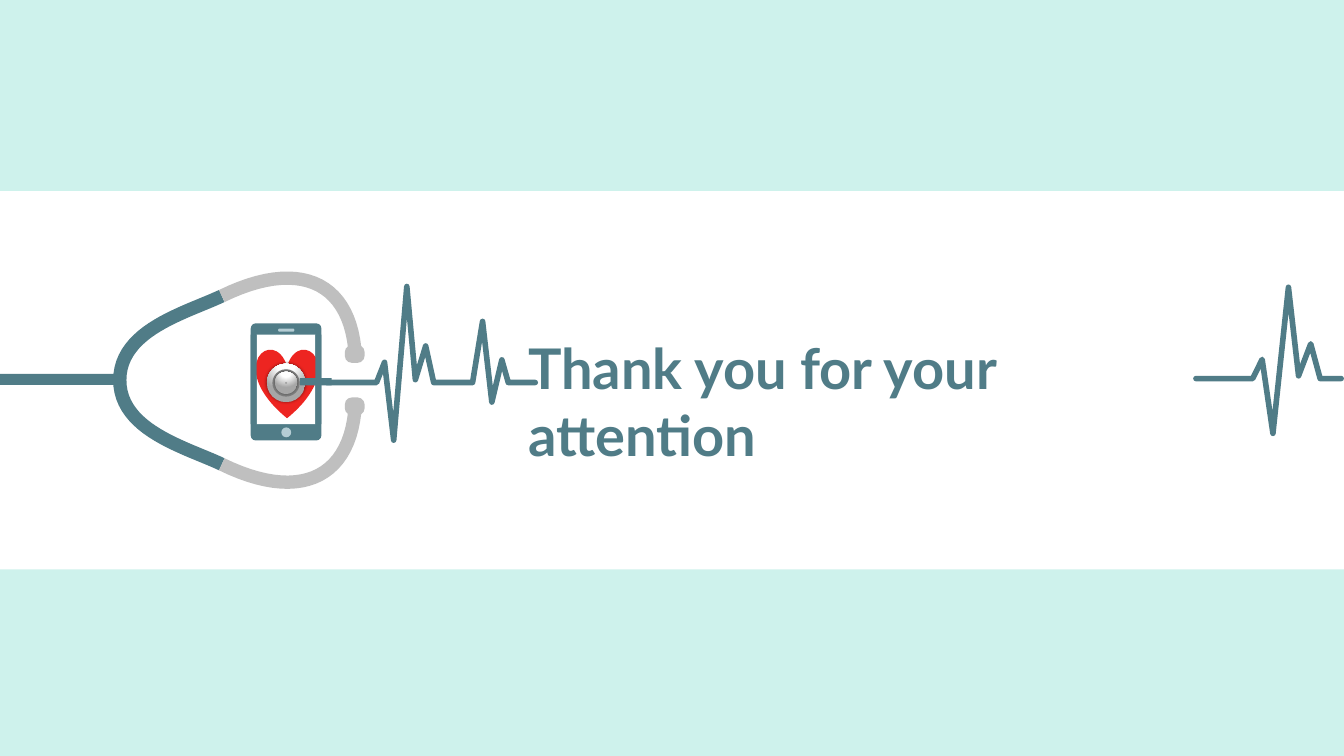
"""Build a closing slide with a stethoscope, a phone and a heartbeat line."""
from lxml.etree import SubElement
from pptx import Presentation
from pptx.dml.color import RGBColor
from pptx.enum.shapes import MSO_SHAPE
from pptx.enum.text import MSO_AUTO_SIZE
from pptx.oxml import parse_xml
from pptx.oxml.ns import nsdecls, qn
from pptx.util import Cm, Pt

TEAL = RGBColor(0x50, 0x7C, 0x87)
MINT = RGBColor(0xCE, 0xF2, 0xEC)
RED = RGBColor(0xED, 0x25, 0x21)
PALE_BLUE = RGBColor(0xB5, 0xCD, 0xD4)
LIGHT_GREY = RGBColor(0xBF, 0xBF, 0xBF)
STEEL = RGBColor(0xA6, 0xA6, 0xA6)
DARK_GREY = RGBColor(0x80, 0x80, 0x80)
WHITE = RGBColor(0xFF, 0xFF, 0xFF)

METAL_FILL = f"""<a:gradFill {nsdecls("a")} rotWithShape="1"><a:gsLst>
<a:gs pos="0"><a:srgbClr val="{WHITE}"/></a:gs>
<a:gs pos="35000"><a:srgbClr val="{WHITE}"/></a:gs>
<a:gs pos="100000"><a:srgbClr val="{STEEL}"/></a:gs></a:gsLst>
<a:path path="circle"><a:fillToRect l="50000" t="-80000" r="50000" b="180000"/></a:path>
</a:gradFill>"""
METAL_SHADOW = f"""<a:outerShdw {nsdecls("a")} blurRad="{Pt(2)}" dist="0" dir="0">
<a:srgbClr val="000000"><a:alpha val="40000"/></a:srgbClr></a:outerShdw>"""

SLIDE_WIDTH, SLIDE_HEIGHT = 33.87, 19.05

presentation = Presentation()
presentation.slide_width = Cm(SLIDE_WIDTH)
presentation.slide_height = Cm(SLIDE_HEIGHT)
slide = presentation.slides.add_slide(presentation.slide_layouts[6])


def add_preset(kind, left, top, width, height, color):
    shape = slide.shapes.add_shape(kind, Cm(left), Cm(top), Cm(width), Cm(height))
    shape.shadow.inherit = False
    shape.line.fill.background()
    shape.fill.solid()
    shape.fill.fore_color.rgb = color
    return shape


def add_stroke(points, color, width, cap):
    vertices = [(Cm(x), Cm(y)) for x, y in points]
    builder = slide.shapes.build_freeform(*vertices[0])
    builder.add_line_segments(vertices[1:], close=False)
    shape = builder.convert_to_shape()
    shape.shadow.inherit = False
    shape.fill.background()
    shape.line.color.rgb = color
    shape.line.width = Pt(width)
    outline = shape.element.spPr.find(qn("a:ln"))
    outline.set("cap", cap)
    SubElement(outline, qn("a:round"))


# Phone showing a heart; the side rims cover the edges of the heart
phone_left, phone_top, phone_width, phone_height = 6.32, 8.15, 1.78, 2.95
rim = 0.15
screen_top, screen_height = 8.43, 2.26
phone = add_preset(MSO_SHAPE.ROUNDED_RECTANGLE, phone_left, phone_top,
                   phone_width, phone_height, TEAL)
phone.adjustments[0] = 0.07
add_preset(MSO_SHAPE.RECTANGLE, phone_left + rim, screen_top,
           phone_width - 2 * rim, screen_height, WHITE)
add_preset(MSO_SHAPE.HEART, 6.45, 8.79, 1.57, 1.75, RED)
for rim_left in (phone_left, phone_left + phone_width - rim):
    add_preset(MSO_SHAPE.RECTANGLE, rim_left, screen_top, rim, screen_height, TEAL)
speaker = add_preset(MSO_SHAPE.ROUNDED_RECTANGLE, 7.01, 8.28, 0.41, 0.08, PALE_BLUE)
speaker.adjustments[0] = 0.5
add_preset(MSO_SHAPE.OVAL, 7.09, 10.77, 0.25, 0.25, PALE_BLUE)

# Stethoscope: each Bezier curve is (x, rise from the axis), mirrored about the axis
stethoscope_axis = 9.58
curve_steps = 24
tube_curve = [(3.02, 0), (3.02, 1.27), (4.7, 1.7), (5.59, 2.12)]
earpiece_curve = [(5.59, 2.12), (7.49, 3.05), (8.76, 2.51), (8.94, 0.81)]
knob_x, knob_rise, knob_width, knob_height = 8.94, 0.66, 0.5, 0.45
for side in (-1, 1):
    for controls, color in ((tube_curve, TEAL), (earpiece_curve, LIGHT_GREY)):
        points = []
        for step in range(curve_steps + 1):
            t = step / curve_steps
            weights = ((1 - t) ** 3, 3 * t * (1 - t) ** 2, 3 * t ** 2 * (1 - t), t ** 3)
            x = sum(weight * control[0] for weight, control in zip(weights, controls))
            rise = sum(weight * control[1] for weight, control in zip(weights, controls))
            points.append((x, stethoscope_axis + side * rise))
        add_stroke(points, color, 9.5, "flat")
    knob = add_preset(MSO_SHAPE.ROUNDED_RECTANGLE, knob_x - knob_width / 2,
                      stethoscope_axis + side * knob_rise - knob_height / 2,
                      knob_width, knob_height, LIGHT_GREY)
    knob.adjustments[0] = 0.4
add_preset(MSO_SHAPE.RECTANGLE, 0, 9.42, 2.97, 0.28, TEAL)

# Heartbeats: (share of the beat's width, share of its peak height)
full_beat = [(0, 0), (0.14, 0.21), (0.3, -0.6), (0.53, 1),
             (0.68, 0.03), (0.86, 0.38), (1, 0)]
short_beat = [(0, 0), (0.28, 1), (0.54, -0.32), (0.82, 0.37), (1, 0)]
pulses = [
    (8.23, 13.49, 9.64, [(full_beat, 9.49, 1.44, 2.42), (short_beat, 11.91, 0.9, 1.54)]),
    (30.14, 33.8, 9.54, [(full_beat, 31.57, 1.7, 2.3)]),
]
for start, end, baseline, beats in pulses:
    points = [(start, baseline)]
    for beat, beat_left, beat_width, peak in beats:
        points += [(beat_left + x * beat_width, baseline - y * peak) for x, y in beat]
    points.append((end, baseline))
    add_stroke(points, TEAL, 4, "rnd")

# Chest piece: concentric discs, from the largest to the smallest
chest_x, chest_y = 7.21, 9.65
for diameter, color, is_metal in ((0.97, WHITE, True), (0.69, DARK_GREY, False),
                                  (0.56, WHITE, True), (0.05, STEEL, False)):
    disc = add_preset(MSO_SHAPE.OVAL, chest_x - diameter / 2, chest_y - diameter / 2,
                      diameter, diameter, color)
    if is_metal:
        properties = disc.element.spPr
        properties.replace(properties.find(qn("a:solidFill")), parse_xml(METAL_FILL))
        properties.find(qn("a:effectLst")).append(parse_xml(METAL_SHADOW))
add_preset(MSO_SHAPE.RECTANGLE, 7.56, 9.53, 0.8, 0.18, TEAL)

thanks = slide.shapes.add_textbox(Cm(13.06), Cm(8.28), Cm(17.58), Cm(1.96))
thanks.text_frame.word_wrap = True
thanks.text_frame.auto_size = MSO_AUTO_SIZE.SHAPE_TO_FIT_TEXT
run = thanks.text_frame.paragraphs[0].add_run()
run.text = "Thank you for your attention"
run.font.name = "Lato"
run.font.size = Pt(40)
run.font.bold = True
run.font.color.rgb = TEAL

for band_top, band_bottom in ((0, 4.81), (14.35, SLIDE_HEIGHT)):
    add_preset(MSO_SHAPE.RECTANGLE, 0, band_top, SLIDE_WIDTH,
               band_bottom - band_top, MINT)

presentation.save("out.pptx")
